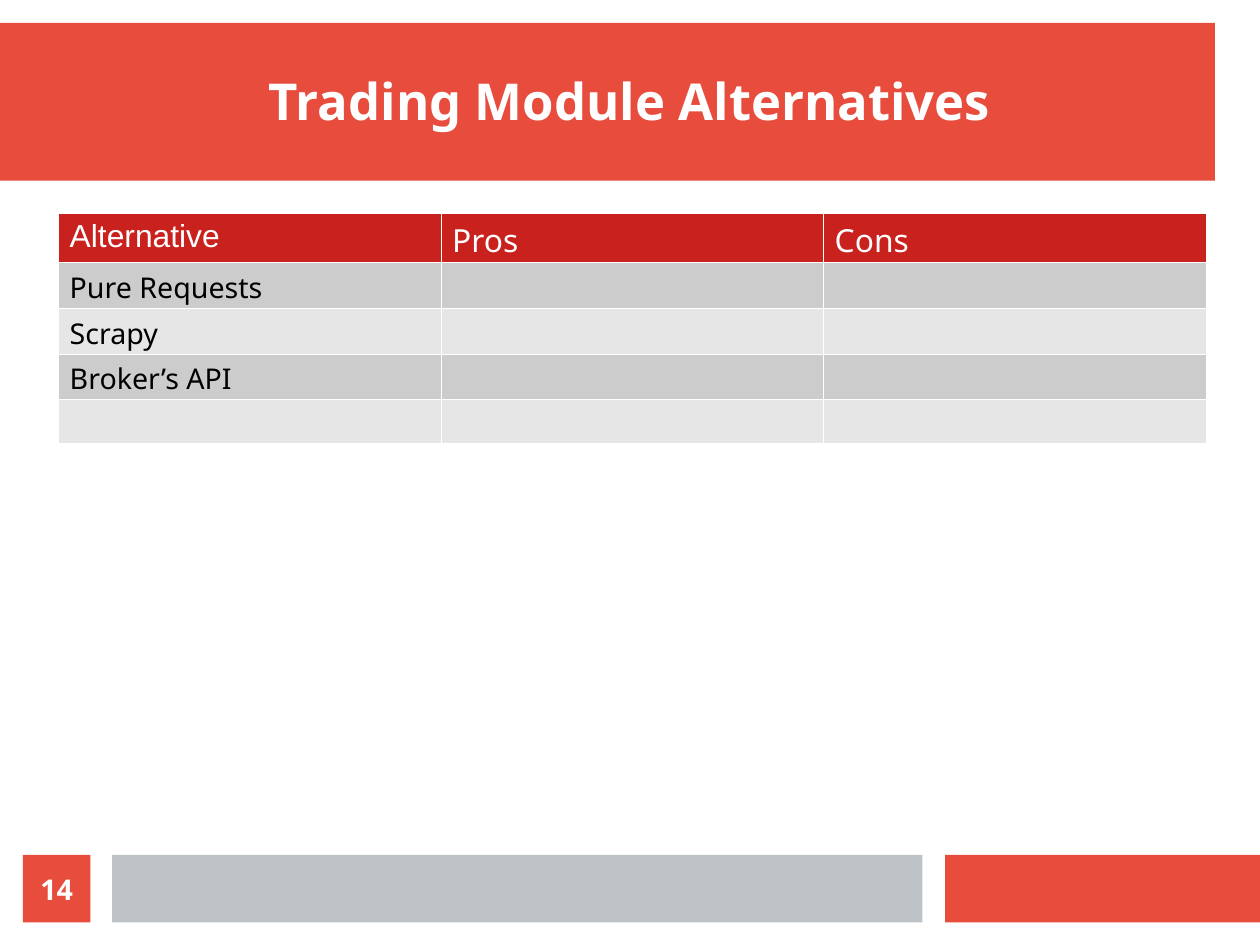
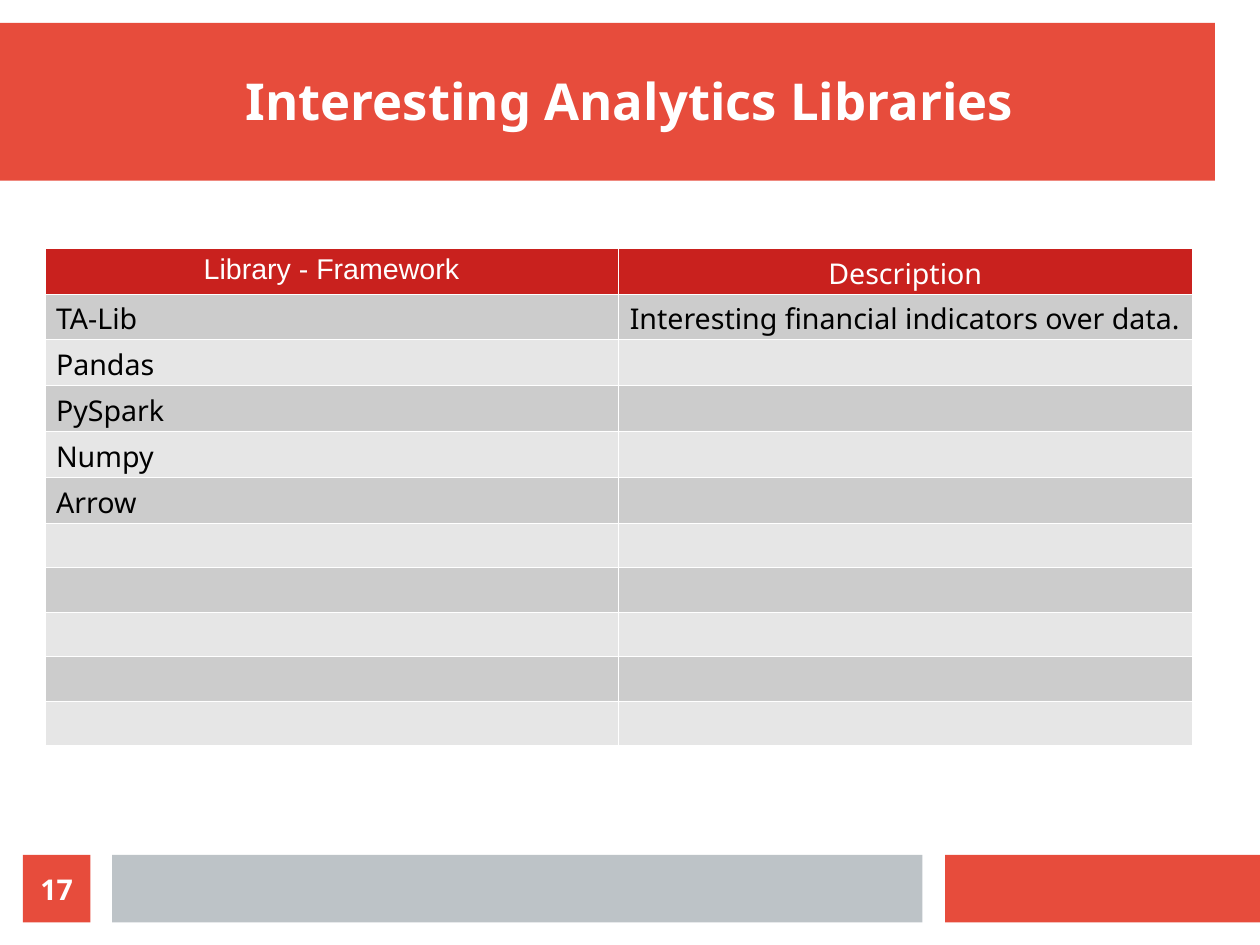
from lxml.etree import SubElement
from pptx import Presentation
from pptx.dml.color import RGBColor
from pptx.enum.shapes import MSO_SHAPE as Shape
from pptx.enum.text import MSO_ANCHOR as Anchor, PP_ALIGN as Align
from pptx.oxml.ns import qn
from pptx.util import Inches, Pt

RED = RGBColor(0xE7, 0x4C, 0x3C)
GREY = RGBColor(0xBD, 0xC3, 0xC7)
HEAD = RGBColor(0xC9, 0x21, 0x1E)
DARK = RGBColor(0xCC, 0xCC, 0xCC)
LIGHT = RGBColor(0xE6, 0xE6, 0xE6)
WHITE = RGBColor(0xFF, 0xFF, 0xFF)
BLACK = RGBColor(0, 0, 0)
SANS, ARIAL = "Noto Sans", "Arial"
HAIR = Pt(0.06)

# The page is 28 by 21 cm
PAGE = (28 / 2.54, 21 / 2.54)
BANDS = [
    ((0, 0.2, 10.63, 1.38), RED),
    ((8.27, 7.48, 2.76, 0.59), RED),
    ((0.98, 7.48, 7.09, 0.59), GREY),
]
TITLE = (0.39, 0.39, 10.24, 0.98)
BADGE = (0.2, 7.48, 0.59, 0.59)
WIDTH = 10.04

SLIDES = [
    {
        "title": "Trading Module Alternatives", "page": 14,
        "at": (0.51, 1.86), "tops": 0.43, "step": 0.38,
        "size": 20, "align": Align.LEFT,
        "head": ["Alternative", "Pros", "Cons"],
        "rows": [["Pure Requests"], ["Scrapy"], ["Broker’s API"], []],
    },
    {
        "title": "Interesting Analytics Libraries", "page": 17,
        "at": (0.39, 2.17), "tops": 0.39, "step": 0.39,
        "size": 18, "align": Align.CENTER,
        "head": ["Library - Framework", "Description"],
        "rows": [
            ["TA-Lib", "Interesting financial indicators over data."],
            ["Pandas"], ["PySpark"], ["Numpy"], ["Arrow"],
            [], [], [], [], [],
        ],
    },
]


def style(para, size, color, face=SANS, bold=False, align=Align.LEFT):
    para.alignment = align
    font = para.font
    font.size, font.name, font.bold = Pt(size), face, bold
    font.color.rgb = color


def add_rect(slide, box, color):
    rect = slide.shapes.add_shape(Shape.RECTANGLE, *map(Inches, box))
    rect.shadow.inherit = False
    rect.fill.solid()
    rect.fill.fore_color.rgb = color
    rect.line.fill.background()
    return rect


def put_text(shape, text, size):
    """Bold white text, centred both ways without insets."""
    frame = shape.text_frame
    frame.word_wrap = True
    frame.vertical_anchor = Anchor.MIDDLE
    frame.margin_left = frame.margin_right = 0
    frame.margin_top = frame.margin_bottom = 0
    frame.text = text
    style(frame.paragraphs[0], size, WHITE, bold=True, align=Align.CENTER)


def paint(cell, color):
    """White hairlines on all four sides, then the fill."""
    props = cell._tc.get_or_add_tcPr()
    for side in "LRTB":
        line = SubElement(props, qn(f"a:ln{side}"), w=str(HAIR))
        fill = SubElement(line, qn("a:solidFill"))
        SubElement(fill, qn("a:srgbClr"), val=str(WHITE))
    cell.fill.solid()
    cell.fill.fore_color.rgb = color


def add_grid(slide, data):
    head, rows = data["head"], data["rows"]
    high = data["tops"] + data["step"] * len(rows)
    box = map(Inches, (*data["at"], WIDTH, high))
    grid = slide.shapes.add_table(len(rows) + 1, len(head), *box).table
    grid.horz_banding = False
    for col in grid.columns:
        col.width = Inches(WIDTH / len(head))
    for r, texts in enumerate([head] + rows):
        grid.rows[r].height = Inches(data["step"] if r else data["tops"])
        for c in range(len(head)):
            cell = grid.cell(r, c)
            paint(cell, (DARK if r % 2 else LIGHT) if r else HEAD)
            if c >= len(texts):
                # A small end mark keeps an empty row at its set height
                para = cell.text_frame.paragraphs[0]
                SubElement(para._p, qn("a:endParaRPr"), sz="1200")
                continue
            cell.text = texts[c]
            para = cell.text_frame.paragraphs[0]
            if r:
                style(para, 18, BLACK)
            else:
                style(para, data["size"], WHITE, SANS if c else ARIAL,
                      align=data["align"])


def main():
    deck = Presentation()
    deck.slide_width, deck.slide_height = map(Inches, PAGE)
    for data in SLIDES:
        slide = deck.slides.add_slide(deck.slide_layouts[6])
        for box, color in BANDS:
            add_rect(slide, box, color)
        title = slide.shapes.add_textbox(*map(Inches, TITLE))
        put_text(title, data["title"], 32)
        add_grid(slide, data)
        put_text(add_rect(slide, BADGE, RED), str(data["page"]), 18)
    deck.save("out.pptx")


if __name__ == "__main__":
    main()
